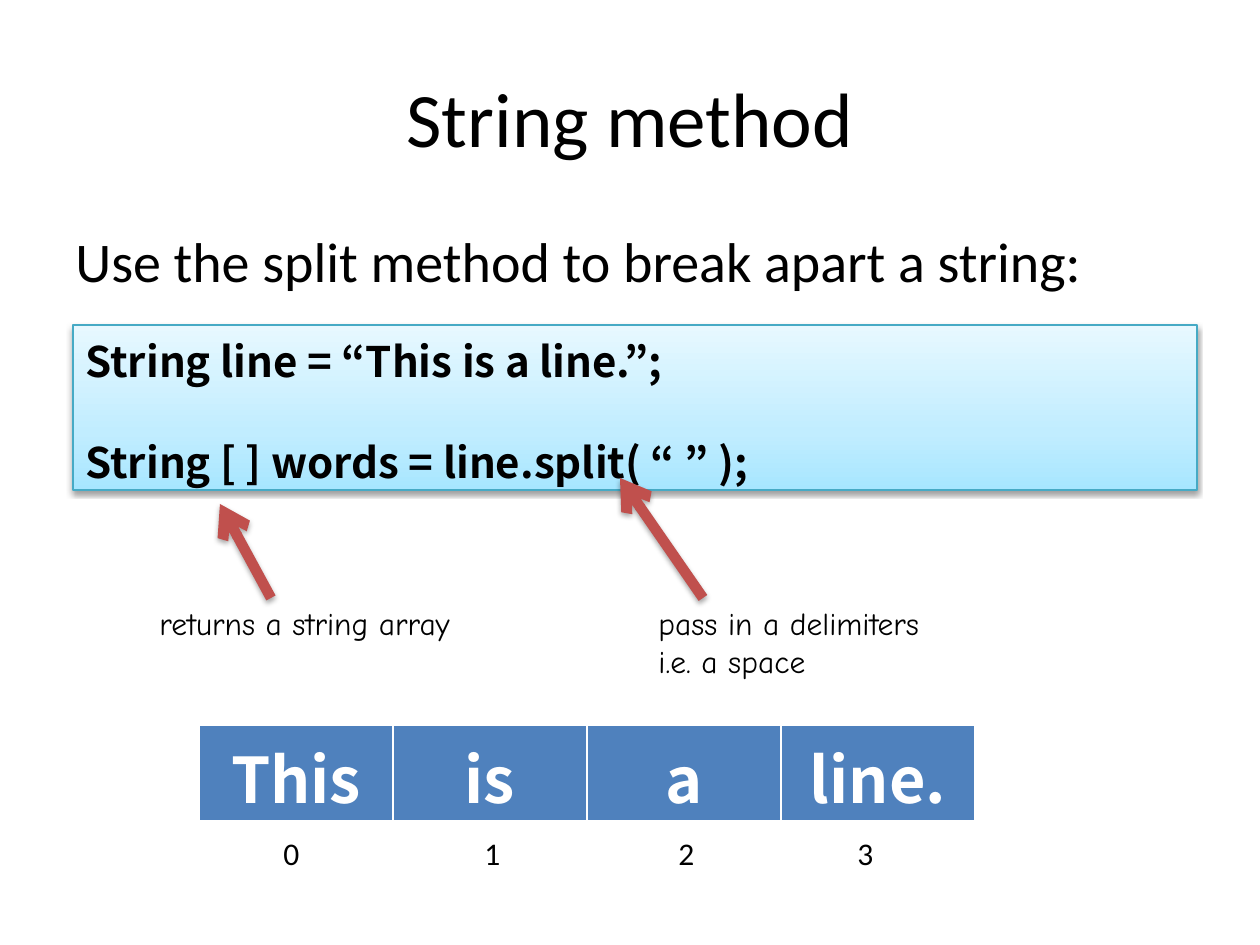
from pptx import Presentation
from pptx.dml.color import RGBColor
from pptx.enum.shapes import MSO_CONNECTOR, MSO_SHAPE
from pptx.enum.text import MSO_ANCHOR, PP_ALIGN
from pptx.oxml import parse_xml
from pptx.oxml.ns import nsdecls
from pptx.util import Emu, Pt

# Content, lengths in pixels
PIXEL = 914400 // 126
TITLE = ("String method", (63, 38, 1134, 158))
INTRO = ("Use the split method to break apart a string:", (63, 220, 1134, 80))
CODE = ("String line = “This is a line.”;\nString [ ] words = line.split( “ ” );",
        (73, 325, 1124, 165))
NOTES = [
    ("pass in a delimiters\ni.e. a space", (646, 598, 336, 89)),
    ("returns a string array", (147, 598, 336, 89)),
]
ARROWS = [((703, 598), (620, 478)), ((271, 598), (220, 504))]
WORDS = ["This", "is", "a", "line."]
WORDS_AREA = (199, 725, 776, 97)
INDEXES = ("0\t1\t2\t3", (271, 828, 716, 50))
INDEX_TABS = [201, 395, 574]
CODE_GRADIENT = [(0, "A7E6FF"), (35, "C1EDFF"), (100, "E7F8FF")]
CODE_FONT, BODY_FONT, NOTE_FONT = "Noto Sans CJK JP", "Calibri", "Comic Neue"


def color(value):
    return RGBColor.from_string(value)


def pixels(values):
    return [Emu(value * PIXEL) for value in values]


def set_text(frame, text, size, font, hex_color="000000", bold=False, align=None):
    frame.text = text
    for paragraph in frame.paragraphs:
        paragraph.alignment = align
        for run in paragraph.runs:
            run.font.size = Pt(size)
            run.font.name = font
            run.font.bold = bold
            run.font.color.rgb = color(hex_color)


def add_text(area, text, size, font):
    box = slide.shapes.add_textbox(*pixels(area))
    box.text_frame.word_wrap = True
    set_text(box.text_frame, text, size, font)
    return box


def add_shadow(shape, alpha, distance):
    shape._element.spPr.append(parse_xml(
        f'<a:effectLst {nsdecls("a")}><a:outerShdw blurRad="{Pt(3.1)}" '
        f'dist="{Pt(distance)}" dir="5400000" rotWithShape="0">'
        f'<a:srgbClr val="000000"><a:alpha val="{alpha * 1000}"/></a:srgbClr>'
        '</a:outerShdw></a:effectLst>'))


presentation = Presentation()
presentation.slide_width, presentation.slide_height = pixels((1260, 945))
slide = presentation.slides.add_slide(presentation.slide_layouts[5])

# Title and introduction
title = slide.shapes.title
title.left, title.top, title.width, title.height = pixels(TITLE[1])
title.text_frame.vertical_anchor = MSO_ANCHOR.MIDDLE
set_text(title.text_frame, TITLE[0], 44, BODY_FONT, align=PP_ALIGN.CENTER)
add_text(INTRO[1], INTRO[0], 32, BODY_FONT)

# Code panel
panel = slide.shapes.add_shape(MSO_SHAPE.RECTANGLE, *pixels(CODE[1]))
stops = "".join(f'<a:gs pos="{position * 1000}"><a:srgbClr val="{value}"/></a:gs>'
                for position, value in CODE_GRADIENT)
panel._element.spPr.append(parse_xml(
    f'<a:gradFill {nsdecls("a")} rotWithShape="1"><a:gsLst>{stops}</a:gsLst>'
    '<a:lin ang="16200000" scaled="0"/></a:gradFill>'))
panel.line.color.rgb = color("46AAC5")
panel.line.width = Pt(0.75)
add_shadow(panel, 38, 1.6)
code = panel.text_frame
code.word_wrap = True
code.vertical_anchor = MSO_ANCHOR.TOP
code.margin_top = Emu(10 * PIXEL)
set_text(code, CODE[0], 24, CODE_FONT, bold=True, align=PP_ALIGN.LEFT)
for paragraph in code.paragraphs:
    paragraph.line_spacing = Pt(29)
code.paragraphs[1].space_before = Pt(29)

# Notes with arrows
for (text, area), (start, end) in zip(NOTES, ARROWS):
    arrow = slide.shapes.add_connector(MSO_CONNECTOR.STRAIGHT, *pixels(start + end))
    arrow.line.color.rgb = color("C0504D")
    arrow.line.width = Pt(6)
    arrow.line._get_or_add_ln().append(
        parse_xml(f'<a:tailEnd {nsdecls("a")} type="arrow"/>'))
    add_shadow(arrow, 35, 1.8)
    add_text(area, text, 18, NOTE_FONT)

# Array of words
table = slide.shapes.add_table(1, len(WORDS), *pixels(WORDS_AREA)).table
for cell, word in zip(table.rows[0].cells, WORDS):
    set_text(cell.text_frame, word, 36, CODE_FONT, "FFFFFF", True, PP_ALIGN.CENTER)
    cell.margin_top, cell.margin_bottom = pixels((5, 0))
    cell.fill.solid()
    cell.fill.fore_color.rgb = color("4F81BD")
    properties = cell._tc.get_or_add_tcPr()
    for position, (side, width) in enumerate(
            [("lnL", 1), ("lnR", 1), ("lnT", 1), ("lnB", 3)]):
        properties.insert(position, parse_xml(
            f'<a:{side} {nsdecls("a")} w="{Pt(width)}"><a:solidFill>'
            f'<a:srgbClr val="FFFFFF"/></a:solidFill></a:{side}>'))

# Array indexes on tab stops
indexes = add_text(INDEXES[1], INDEXES[0], 18, BODY_FONT)
tabs = "".join(f'<a:tab pos="{tab * PIXEL}" algn="l"/>' for tab in INDEX_TABS)
indexes.text_frame.paragraphs[0]._p.get_or_add_pPr().append(
    parse_xml(f'<a:tabLst {nsdecls("a")}>{tabs}</a:tabLst>'))

presentation.save("out.pptx")
